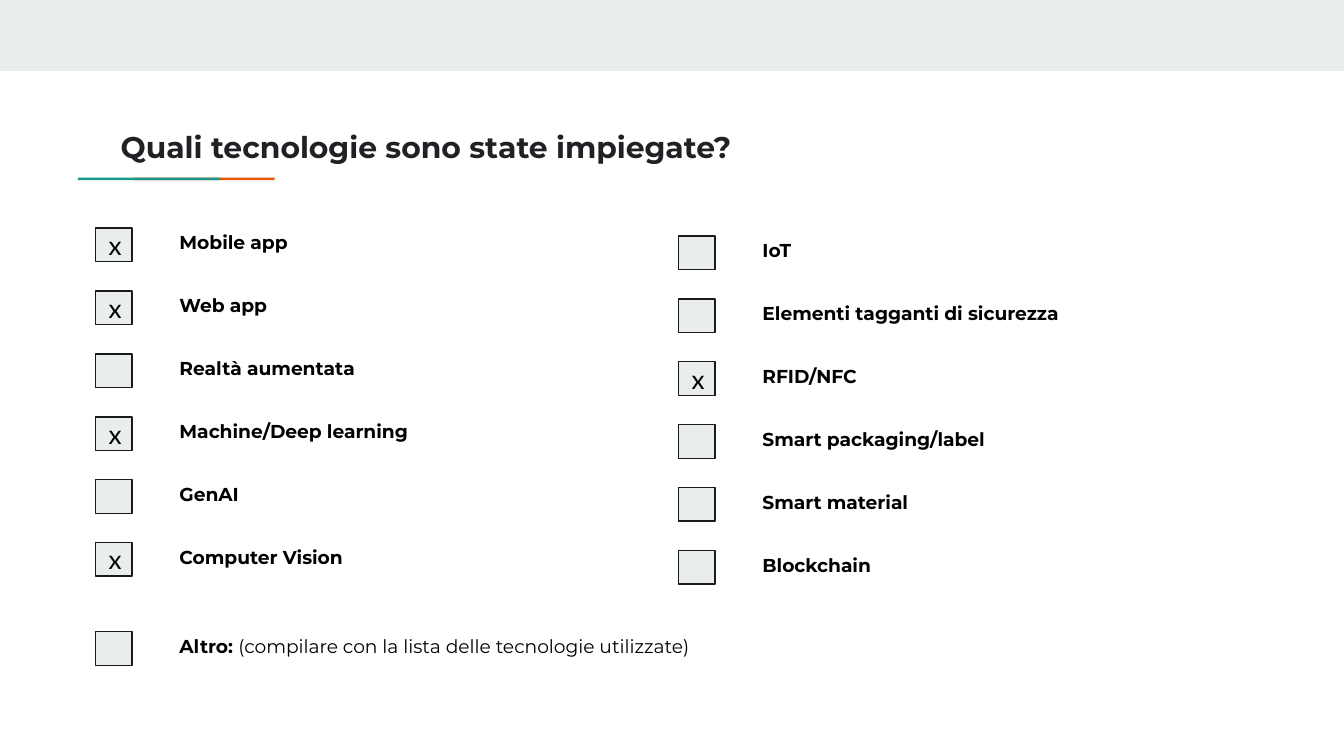
from dataclasses import dataclass

from pptx import Presentation
from pptx.dml.color import RGBColor
from pptx.enum.shapes import MSO_SHAPE
from pptx.enum.text import MSO_ANCHOR, PP_ALIGN
from pptx.util import Pt

RECT = MSO_SHAPE.RECTANGLE
MIDDLE = MSO_ANCHOR.MIDDLE
CENTER = PP_ALIGN.CENTER


@dataclass(frozen=True)
class Theme:
    """Colours, fonts and type sizes of the slide."""
    pale: RGBColor = RGBColor(0xE9, 0xED, 0xEE)
    orange: RGBColor = RGBColor(0xEB, 0x56, 0x00)
    green: RGBColor = RGBColor(0x1A, 0x99, 0x88)
    heading: RGBColor = RGBColor(0x20, 0x21, 0x24)
    outline: RGBColor = RGBColor(0x1A, 0x1A, 0x1A)
    text: RGBColor = RGBColor(0, 0, 0)
    main_font: str = "Montserrat"
    mark_font: str = "Lato"
    title_size: float = 16
    label_size: float = 10
    mark_size: float = 14


THEME = Theme()
ROW_PITCH = 33.7
LABEL_OFFSET = 38
LABEL_HEIGHT = 24
LEFT_ITEMS = [
    ("Mobile app", True),
    ("Web app", True),
    ("Realtà aumentata", False),
    ("Machine/Deep learning", True),
    ("GenAI", False),
    ("Computer Vision", True),
]
RIGHT_ITEMS = [
    ("IoT", False),
    ("Elementi tagganti di sicurezza", False),
    ("RFID/NFC", True),
    ("Smart packaging/label", False),
    ("Smart material", False),
    ("Blockchain", False),
]


def add_rect(s, x, y, w, h, fill):
    """Add a plain filled rectangle without line or shadow."""
    sp = s.shapes.add_shape(RECT, Pt(x), Pt(y), Pt(w), Pt(h))
    sp.shadow.inherit = False
    sp.fill.solid()
    sp.fill.fore_color.rgb = fill
    sp.line.fill.background()
    return sp


def set_insets(tf, x, y):
    """Set equal side insets and equal top and bottom insets."""
    tf.margin_left = tf.margin_right = Pt(x)
    tf.margin_top = tf.margin_bottom = Pt(y)


def set_font(font, name, size, color, bold=None):
    """Set the face, size, colour and weight of a font."""
    font.name = name
    font.size = Pt(size)
    font.color.rgb = color
    font.bold = bold


def add_text(s, x, y, w, h, text, size, color, inset_y, bold=True):
    """Add a wrapped one-line text box and return its paragraph."""
    tf = s.shapes.add_textbox(Pt(x), Pt(y), Pt(w), Pt(h)).text_frame
    tf.word_wrap = True
    set_insets(tf, 7.2, inset_y)
    p = tf.paragraphs[0]
    p.add_run().text = text
    set_font(p.font, THEME.main_font, size, color, bold)
    return p


def add_header(s, x, y, w, h):
    """Place the title and its two-colour rule in the given box."""
    rule_x, rule_y = x - 15.8, y + h + 1.6
    add_rect(s, rule_x + 29.8, rule_y, 75.6, 1.4, THEME.orange)
    add_rect(s, rule_x, rule_y, 76.3, 1.4, THEME.green)
    add_text(s, x, y, w, h, "Quali tecnologie sono state impiegate?",
             THEME.title_size, THEME.heading, 7.2)


def add_option(s, x, y, w, label, checked=False, note=""):
    """Place one check box with its label and optional note."""
    p = add_text(s, x + LABEL_OFFSET, y, w - LABEL_OFFSET, LABEL_HEIGHT,
                 label, THEME.label_size, THEME.text, 5.8,
                 None if note else True)
    if note:
        p.runs[0].font.bold = True
        p.add_run().text = note
    sp = add_rect(s, x, y + 4.1, 19.6, 18, THEME.pale)
    sp.line.color.rgb = THEME.outline
    sp.line.width = Pt(0.75)
    if checked:
        tf = sp.text_frame
        set_insets(tf, 7.2, 7.2)
        tf.vertical_anchor = MIDDLE
        p = tf.paragraphs[0]
        p.text = "x"
        p.alignment = CENTER
        set_font(p.font, THEME.mark_font, THEME.mark_size, THEME.text)


def add_options(s, x, y, w, items):
    """Place a column of check boxes at an even pitch."""
    for i, (label, checked) in enumerate(items):
        add_option(s, x, y + i * ROW_PITCH, w, label, checked)


def main():
    """Build and save the slide."""
    prs = Presentation()
    prs.slide_width, prs.slide_height = Pt(720), Pt(405)
    s = prs.slides.add_slide(prs.slide_layouts[6])
    add_rect(s, 0, 0, 720, 38, THEME.pale)
    add_header(s, 57.6, 62, 605.5, 31.6)
    add_options(s, 51.1, 118.1, 190, LEFT_ITEMS)
    add_options(s, 363.4, 122.3, 276, RIGHT_ITEMS)
    add_option(s, 51.1, 334.3, 628, "Altro: ",
               note="(compilare con la lista delle tecnologie utilizzate)")
    prs.save("out.pptx")


if __name__ == "__main__":
    main()
